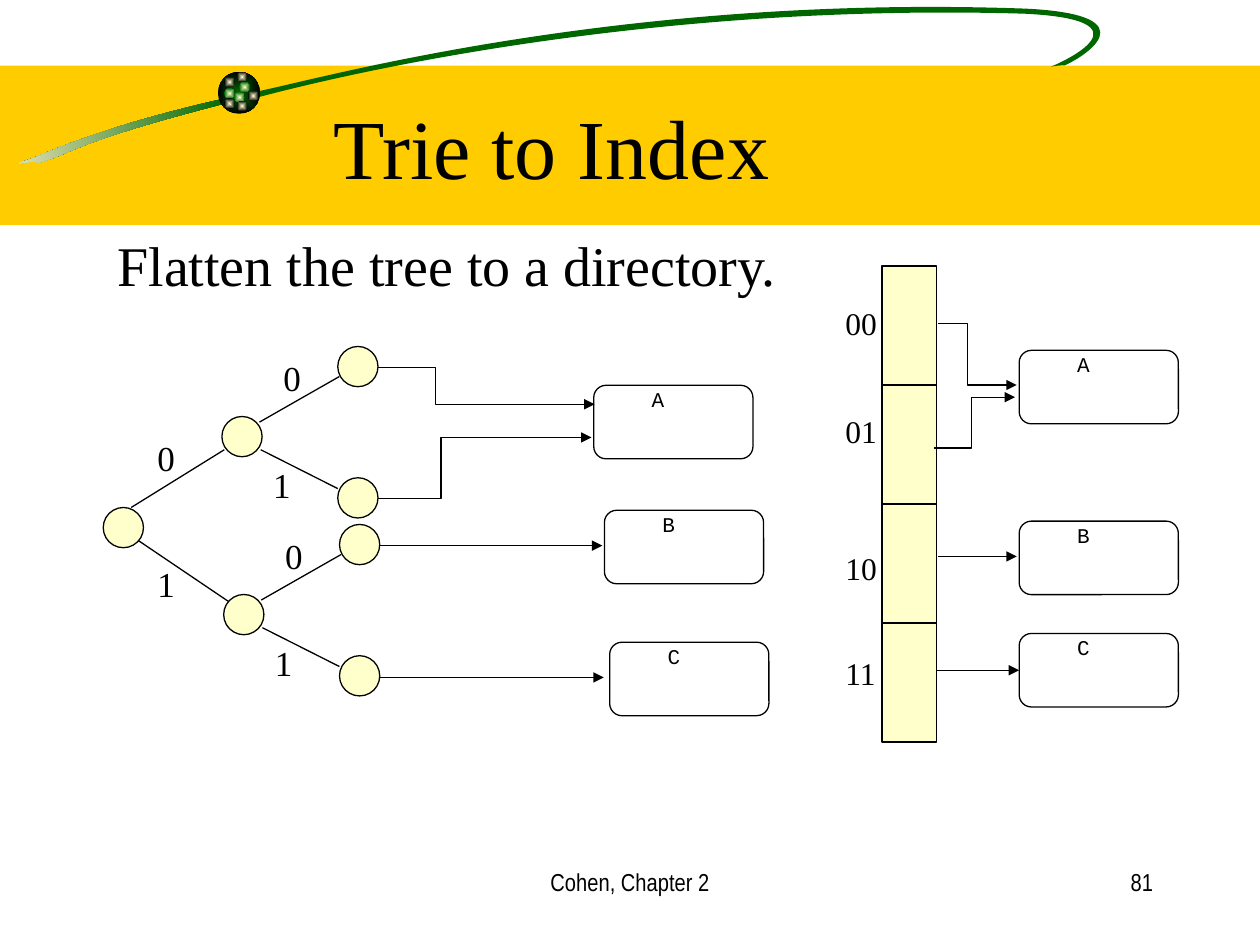
"""Build the 'Trie to Index' slide: a binary trie flattened to a directory."""
from math import cos, radians, sin

from lxml.etree import SubElement
from pptx import Presentation
from pptx.dml.color import RGBColor
from pptx.enum.shapes import MSO_CONNECTOR, MSO_SHAPE
from pptx.enum.text import MSO_ANCHOR, MSO_AUTO_SIZE, PP_ALIGN
from pptx.oxml.ns import qn
from pptx.util import Pt

COLORS = {"ink": "000000", "band": "FFCC00", "node": "FFFFCC", "paper": "FFFFFF",
          "green": "006600", "cream": "F5EBC1"}
SERIF = "Times New Roman"
TILT = -8.5
TAIL_CENTER = (64.08, 76.32)
TAIL_CURVE = [(128.2, 56.2), (65.5, 70.6), (35.3, 83.5), (18, 90.7), (0.7, 96.5),
              (18.7, 90.7), (22.3, 92.9), (41, 87.8), (41, 81.4), (128.9, 59),
              (128.9, 59), (128.2, 56.2), (128.2, 56.2)]
LOOP_CENTER = (402.48, 28.44)
LOOP_CURVE = [(145.4, 52.6), (177.1, 46.8), (349.9, -3.6), (586.1, 5),
              (660.2, 8.6), (617, 33.8), (608.4, 37.4),
              (608.4, 37.4), (603.4, 37.4), (600.5, 38.2),
              (607.7, 35.3), (659.5, 11.5), (585.4, 7.9),
              (394.6, 2.2), (230.4, 33.8), (148.3, 55.4),
              (148.3, 55.4), (145.4, 52.6), (145.4, 52.6)]
GREEN_DOTS = [(136.8, 46.8), (128.2, 50.4), (133.9, 52.6)]
BLACK_DOTS = [(128.2, 43.9), (141.8, 51.8), (135.4, 57.6), (128.2, 56.2), (135.4, 41)]


def rgb(name):
    """Return the named colour."""
    return RGBColor.from_string(COLORS[name])


def outline(shape, arrow=False):
    """Give a shape or connector a thin dark line, with an arrowhead if asked."""
    shape.line.color.rgb = rgb("ink")
    shape.line.width = Pt(0.75)
    if arrow:
        SubElement(shape.line._get_or_add_ln(), qn("a:tailEnd"), type="triangle")


def add_block(shapes, kind, left, top, width, height, fill=None, lined=True):
    """Add a preset shape with an optional fill and outline."""
    block = shapes.add_shape(kind, Pt(left), Pt(top), Pt(width), Pt(height))
    block.shadow.inherit = False
    if fill:
        block.fill.solid()
        block.fill.fore_color.rgb = rgb(fill)
    else:
        block.fill.background()
    if lined:
        outline(block)
    else:
        block.line.fill.background()
    return block


def blend(shape, first, last):
    """Fill a shape with a two-colour gradient."""
    shape.fill.gradient()
    for stop, name in zip(shape.fill.gradient_stops, (first, last)):
        stop.color.rgb = rgb(name)


def add_orb(shapes, left, top, size, center, rim):
    """Add a circle shaded from its center to its rim."""
    orb = add_block(shapes, MSO_SHAPE.OVAL, left, top, size, size, lined=False)
    blend(orb, center, rim)
    gradient = orb._element.spPr.find(qn("a:gradFill"))
    gradient.remove(gradient.find(qn("a:lin")))
    shade = SubElement(gradient, qn("a:path"), path="rect")
    SubElement(shade, qn("a:fillToRect"), l="50000", t="50000", r="50000", b="50000")


def add_outline(shapes, points, close):
    """Add a freeform through the given points."""
    first, *rest = [(Pt(x), Pt(y)) for x, y in points]
    builder = shapes.build_freeform(*first)
    builder.add_line_segments(rest, close=close)
    drawn = builder.convert_to_shape()
    drawn.shadow.inherit = False
    return drawn


def level(point, center):
    """Turn a point about a center to undo the tilt."""
    dx, dy = point[0] - center[0], point[1] - center[1]
    cosine, sine = cos(radians(TILT)), sin(radians(TILT))
    return center[0] + dx * cosine + dy * sine, center[1] - dx * sine + dy * cosine


def add_swoosh(shapes, controls, center):
    """Add a tilted outline of cubic Bezier segments."""
    swoosh = add_outline(shapes, [level(point, center) for point in controls], close=True)
    corners = list(swoosh._element.iter(qn("a:lnTo")))
    for start in range(0, len(corners), 3):
        bend = corners[start].makeelement(qn("a:cubicBezTo"))
        corners[start].addprevious(bend)
        for corner in corners[start:start + 3]:
            bend.append(corner[0])
            corner.getparent().remove(corner)
    swoosh.rotation = TILT
    swoosh.line.fill.background()
    return swoosh


def add_elbow(shapes, start, turn_x, end):
    """Add a right-angled arrow that turns at turn_x."""
    route = [start, (turn_x, start[1]), (turn_x, end[1]), end]
    elbow = add_outline(shapes, route, close=False)
    elbow.fill.background()
    outline(elbow, arrow=True)


def add_line(shapes, start, end, arrow=False):
    """Add a straight line."""
    line = shapes.add_connector(MSO_CONNECTOR.STRAIGHT, *map(Pt, start + end))
    outline(line, arrow)
    SubElement(line._element.spPr, qn("a:effectLst"))
    return line


def set_text(box, text, size, font=SERIF, align=PP_ALIGN.LEFT):
    """Write one formatted paragraph at the top of a box."""
    frame = box.text_frame
    frame.text = text
    frame.word_wrap = True
    frame.auto_size = MSO_AUTO_SIZE.NONE
    frame.vertical_anchor = MSO_ANCHOR.TOP
    paragraph = frame.paragraphs[0]
    paragraph.alignment = align
    paragraph.font.size = Pt(size)
    paragraph.font.name = font
    paragraph.font.color.rgb = rgb("ink")


def add_label(shapes, text, left, top, width, height, size, **style):
    """Add a text box."""
    box = shapes.add_textbox(Pt(left), Pt(top), Pt(width), Pt(height))
    set_text(box, text, size, **style)


def add_bucket(shapes, name, left, top):
    """Add a grouped data bucket with its name and return its frame."""
    members = shapes.add_group_shape().shapes
    bucket = add_block(members, MSO_SHAPE.ROUNDED_RECTANGLE, left, top, 91, 42)
    add_label(members, name, left + 26, top - 2.9, 52, 21.6, 12, font="Courier New")
    return bucket


def add_node(shapes, left, top):
    """Add a trie node."""
    add_block(shapes, MSO_SHAPE.OVAL, left, top, 23, 23, "node")


def add_bit(shapes, bit, left, top):
    """Add the bit on a trie branch."""
    add_label(shapes, bit, left, top, 31, 31.7, 20)


def add_subtree(shapes, dx, dy):
    """Add an inner node with its two leaves, shifted by dx and dy."""
    for x, y in [(126.8, 238), (193, 198), (193, 273)]:
        add_node(shapes, x + dx, y + dy)
    for x, y, end_x, end_y in [(148.3, 241.2, 193.9, 215.2), (149, 257, 193, 279.2)]:
        add_line(shapes, (x + dx, y + dy), (end_x + dx, end_y + dy))
    add_bit(shapes, "0", 154.9 + dx, 200 + dy)
    add_bit(shapes, "1", 149 + dx, 261.3 + dy)


def add_ornament(shapes):
    """Add the title band with its swoosh, jewelled orb and pale side panel."""
    add_block(shapes, MSO_SHAPE.RECTANGLE, 0, 37.5, 720, 91, "band", lined=False)
    tail = add_swoosh(shapes, TAIL_CURVE, TAIL_CENTER)
    blend(tail, "green", "cream")
    tail.fill.gradient_angle = 180
    loop = add_swoosh(shapes, LOOP_CURVE, LOOP_CENTER)
    loop.fill.solid()
    loop.fill.fore_color.rgb = rgb("green")
    add_orb(shapes, 124.6, 41, 24, "green", "ink")
    for rim, dots in (("green", GREEN_DOTS), ("ink", BLACK_DOTS)):
        for x, y in dots:
            add_orb(shapes, x, y, 6, "node", rim)
    panel = add_block(shapes, MSO_SHAPE.RECTANGLE, 53.3, 148.3, 87.8, 391.7, "paper", lined=False)
    tint = panel._element.spPr.find(qn("a:solidFill"))[0]
    SubElement(tint, qn("a:alpha"), val="50000")


def add_title(shapes, text):
    """Place the title above the band."""
    title = shapes.title
    title.left, title.top, title.width, title.height = Pt(183.6), Pt(50.8), Pt(601), Pt(65)
    set_text(title, text, 48)
    shapes._spTree.append(title._element)


def add_trie(shapes):
    """Add the trie and the buckets its leaves point to."""
    add_node(shapes, 59, 290)
    add_line(shapes, (75, 290), (128.2, 257))
    add_line(shapes, (79.2, 309), (131, 344))
    add_bit(shapes, "0", 82.9, 246)
    add_bit(shapes, "1", 82.9, 318)
    add_subtree(shapes, 0, 0)
    add_subtree(shapes, 1, 101.7)
    for name, left, top in [("A", 339.3, 220.2), ("B", 345.4, 291.6), ("C", 348.4, 367)]:
        add_bucket(shapes, name, left, top)
    add_elbow(shapes, (216, 210), 249, (339.8, 231))
    add_elbow(shapes, (216, 285), 252, (338, 250))
    add_line(shapes, (217, 311.8), (344.2, 311.8), arrow=True)
    add_line(shapes, (217, 387.1), (345, 387.1), arrow=True)


def add_directory(shapes):
    """Add the directory and the buckets its cells point to."""
    for row, (key, key_top) in enumerate(zip(("00", "01", "10", "11"), (170, 232, 310, 370))):
        add_block(shapes, MSO_SHAPE.RECTANGLE, 504, 152 + 68 * row, 31, 68, "node")
        add_label(shapes, key, 476, key_top, 34, 29, 18)
    add_bucket(shapes, "A", 582.4, 200.2)
    add_bucket(shapes, "B", 582.4, 297.8)
    last_bucket = add_bucket(shapes, "C", 582.4, 362)
    add_elbow(shapes, (536, 185), 553, (581, 220))
    add_elbow(shapes, (534, 256), 555, (580, 227))
    add_line(shapes, (536, 318), (581, 318), arrow=True)
    add_line(shapes, (535, 383), (582.4, 383), arrow=True).end_connect(last_bucket, 1)


def main():
    """Build and save the slide."""
    deck = Presentation()
    deck.slide_width, deck.slide_height = Pt(720), Pt(540)
    shapes = deck.slides.add_slide(deck.slide_layouts[5]).shapes
    add_ornament(shapes)
    add_title(shapes, "Trie to Index")
    add_label(shapes, "Flatten the tree to a directory.", 60, 128.2, 629, 46, 32)
    add_trie(shapes)
    add_directory(shapes)
    add_label(shapes, "Cohen, Chapter 2", 246, 492, 228, 36, 14,
              font="Arial Narrow", align=PP_ALIGN.CENTER)
    add_label(shapes, "81", 516, 492, 150, 36, 14, font="Arial Narrow", align=PP_ALIGN.RIGHT)
    deck.save("out.pptx")


if __name__ == "__main__":
    main()
